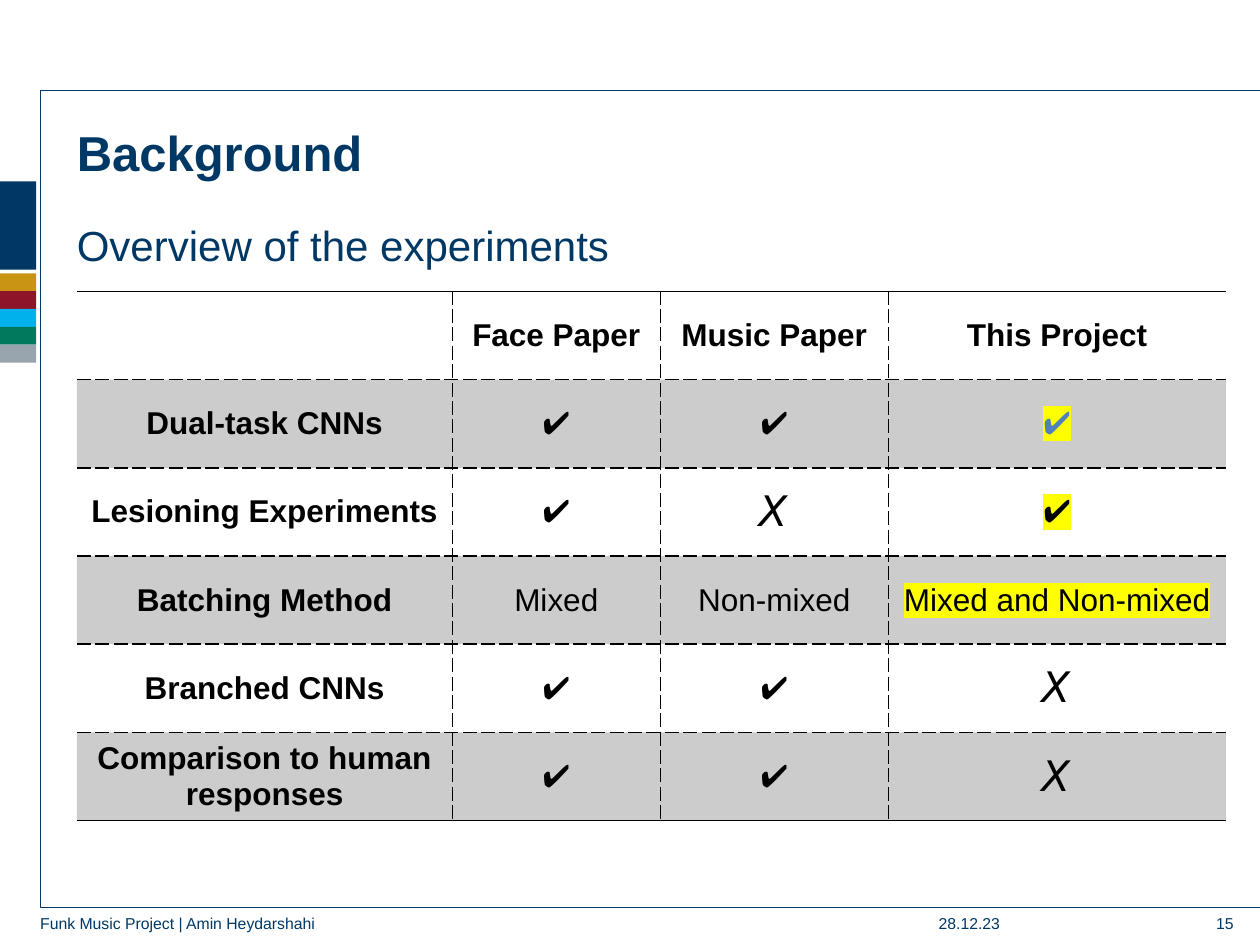
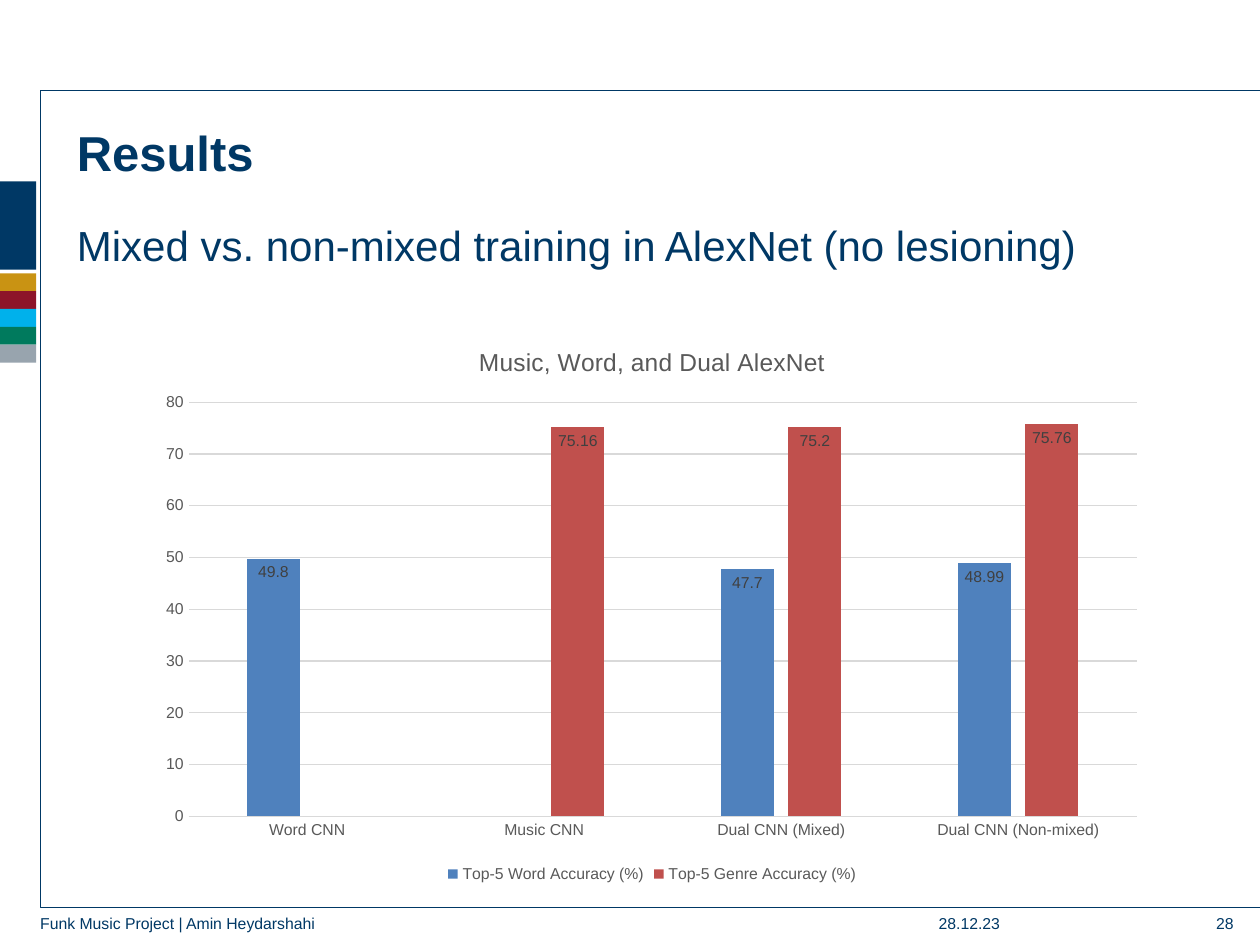
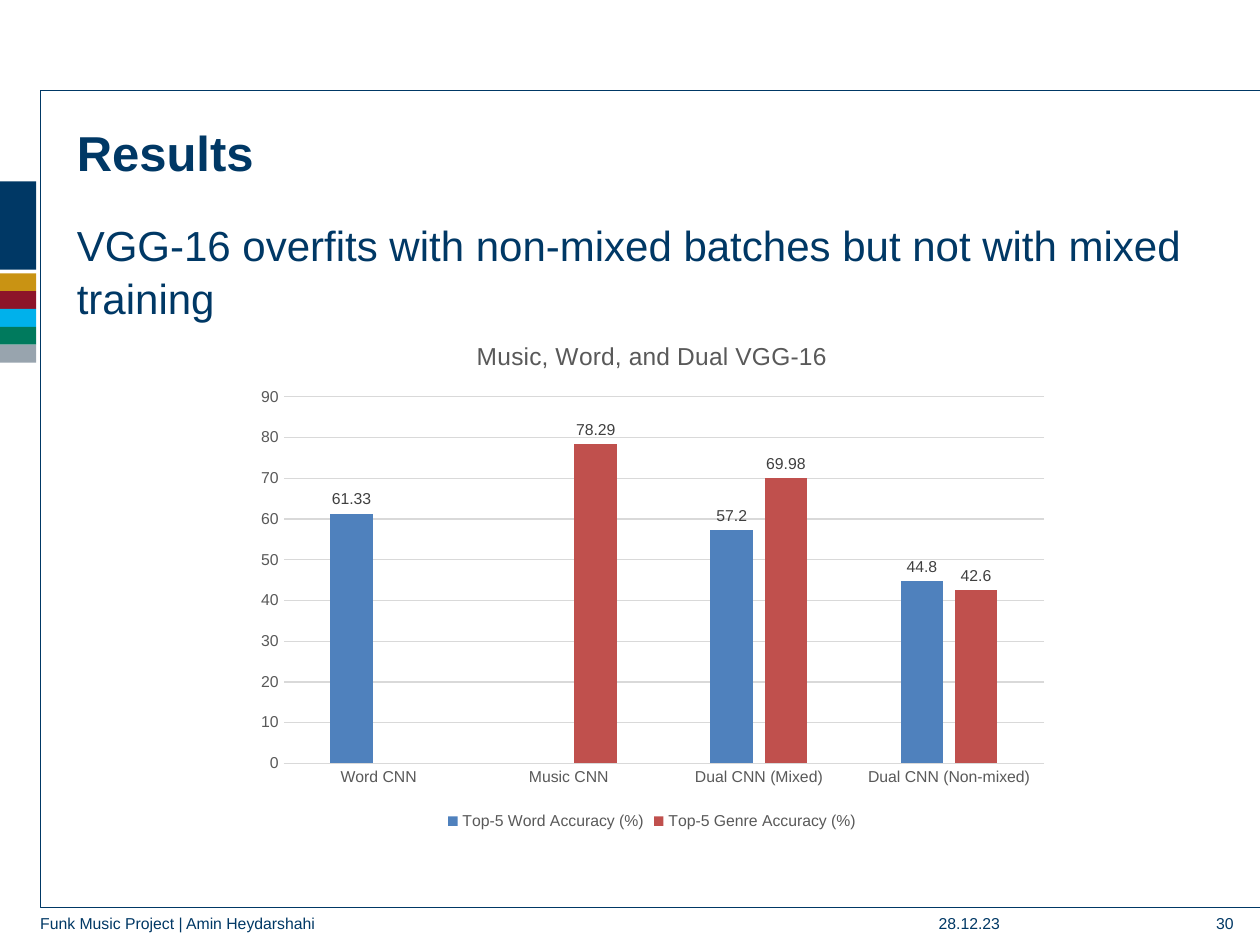
"""Build three slides on the Funk Music Project: experiment overview and accuracy results."""
from dataclasses import dataclass

from lxml import etree
from pptx import Presentation
from pptx import util as u
from pptx.chart import data as cd
from pptx.dml.color import RGBColor
from pptx.enum import chart as ce, shapes, text
from pptx.oxml import parse_xml
from pptx.oxml.ns import nsdecls, qn

Pt = u.Pt


@dataclass(frozen=True)
class Theme:
    font: str = "Arial"
    navy: str = "003865"
    black: str = "000000"
    blue: str = "4F81BD"
    red: str = "C0504D"
    grey: str = "595959"
    label: str = "404040"
    grid: str = "D9D9D9"
    mark: str = "FFFF00"
    bands: tuple = ("C99313", "8D1429", "00B1EB", "007A5D", "98A4AE")
    title: int = 28
    subtitle: int = 24
    cross: int = 24
    cell: int = 18
    chart_title: int = 14
    small: int = 9


T = Theme()
LEFT, WIDTH = 43.92, 656.64


def style(font, size, color, bold=False, mark=None):
    """Set size, colour, weight, highlight and typeface of a font."""
    font.size, font.bold = Pt(size), bold
    font.color.rgb = RGBColor.from_string(color)
    if mark:
        hl = etree.SubElement(font._element, qn("a:highlight"))
        etree.SubElement(hl, qn("a:srgbClr"), val=mark)
    font.name = T.font


def write(sp, box, words, size, bold=False, align=text.PP_ALIGN.LEFT, spacing=1.0):
    """Place a text shape without insets and write one run in it."""
    sp.left, sp.top, sp.width, sp.height = (Pt(v) for v in box)
    tf = sp.text_frame
    tf.word_wrap, tf.auto_size = True, text.MSO_AUTO_SIZE.NONE
    tf.vertical_anchor = text.MSO_ANCHOR.TOP
    tf.margin_left = tf.margin_top = tf.margin_right = tf.margin_bottom = 0
    p = tf.paragraphs[0]
    p.alignment, p.line_spacing, p.space_before = align, spacing, Pt(0)
    r = p.add_run()
    r.text = words
    style(r.font, size, T.navy, bold)


prs = Presentation()
prs.slide_width, prs.slide_height = Pt(720), Pt(540)

pages = [
    ("Background", "Overview of the experiments", "15"),
    ("Results", "Mixed vs. non-mixed training in AlexNet (no lesioning)", "28"),
    ("Results", "VGG-16 overfits with non-mixed batches but not with mixed training", "30"),
]
for title, subtitle, number in pages:
    s = prs.slides.add_slide(prs.slide_layouts[5])
    bars = [(103.7, 50.4, T.navy)]
    bars += [(156.2 + 10.2 * i, 10.2, color) for i, color in enumerate(T.bands)]
    for top, height, color in bars:
        sp = s.shapes.add_shape(shapes.MSO_SHAPE.RECTANGLE, 0, Pt(top), Pt(20.7), Pt(height))
        sp.shadow.inherit = False
        sp.fill.solid()
        sp.fill.fore_color.rgb = RGBColor.from_string(color)
        sp.line.fill.background()

    fb = s.shapes.build_freeform(Pt(720), Pt(51.8))
    fb.add_line_segments([(Pt(23), Pt(51.8)), (Pt(23), Pt(518.4)), (Pt(720), Pt(518.4))], close=False)
    frame = fb.convert_to_shape()
    frame.shadow.inherit = False
    frame.fill.background()
    frame.line.width = Pt(0.75)
    frame.line.color.rgb = RGBColor.from_string(T.navy)

    write(s.shapes.title, (LEFT, 68.5, WIDTH, 53.9), title, T.title, bold=True, spacing=1.04)
    texts = [
        ((LEFT, 124.4, WIDTH, 58), subtitle, T.subtitle, text.PP_ALIGN.LEFT, 1.04),
        ((23, 522, 481.7, 15.1), "Funk Music Project | Amin Heydarshahi", T.small, text.PP_ALIGN.LEFT, 1.0),
        ((536.4, 522, 85, 15.1), "28.12.23", T.small, text.PP_ALIGN.LEFT, 1.0),
        ((648, 522, 56.9, 15.1), number, T.small, text.PP_ALIGN.RIGHT, 1.0),
    ]
    for box, words, size, align, spacing in texts:
        write(s.shapes.add_textbox(0, 0, 0, 0), box, words, size, align=align, spacing=spacing)

YES, NO = "✔️", "𝘟"
rows = [
    ("", "Face Paper", "Music Paper", "This Project"),
    ("Dual-task CNNs", YES, YES, YES),
    ("Lesioning Experiments", YES, NO, YES),
    ("Batching Method", "Mixed", "Non-mixed", "Mixed and Non-mixed"),
    ("Branched CNNs", YES, YES, NO),
    ("Comparison to human responses", YES, YES, NO),
]
widths = (214.6, 118.8, 130.3, 192.94)
last_row, last_col = len(rows) - 1, len(widths) - 1
tbl = prs.slides[0].shapes.add_table(
    len(rows), len(widths), Pt(LEFT), Pt(166.5), Pt(WIDTH), Pt(302.4)).table
tbl.first_row = tbl.horz_banding = False
for column, width in zip(tbl.columns, widths):
    column.width = Pt(width)
for i, row in enumerate(rows):
    tbl.rows[i].height = Pt(50.4)
    for j, words in enumerate(row):
        cell = tbl.cell(i, j)
        cell.vertical_anchor = text.MSO_ANCHOR.MIDDLE
        tcPr = cell._tc.get_or_add_tcPr()
        edges = {
            "L": "sysDash" if j else None,
            "R": "sysDash" if j < last_col else None,
            "T": "sysDash" if i else "solid",
            "B": "sysDash" if i < last_row else "solid",
        }
        for side, dash in edges.items():
            ln = etree.SubElement(tcPr, qn(f"a:ln{side}"), w=str(Pt(1)))
            if dash:
                fill = etree.SubElement(ln, qn("a:solidFill"))
                etree.SubElement(fill, qn("a:srgbClr"), val=T.black)
                etree.SubElement(ln, qn("a:prstDash"), val=dash)
            else:
                etree.SubElement(ln, qn("a:noFill"))
        if i % 2:
            cell.fill.solid()
            cell.fill.fore_color.rgb = RGBColor.from_string(T.black)
            shade = tcPr.find(f"{qn('a:solidFill')}/{qn('a:srgbClr')}")
            etree.SubElement(shade, qn("a:alpha"), val="20000")
        else:
            cell.fill.background()
        p = cell.text_frame.paragraphs[0]
        p.alignment = text.PP_ALIGN.CENTER
        if words:
            r = p.add_run()
            r.text = words
            style(r.font, T.cross if words == NO else T.cell,
                  T.blue if (i, j) == (1, last_col) else T.black,
                  bold=i == 0 or j == 0 or words == NO,
                  mark=T.mark if i and j == last_col and words != NO else None)

categories = ("Word CNN", "Music CNN", "Dual CNN (Mixed)", "Dual CNN (Non-mixed)")
charts = [
    (1, "Music, Word, and Dual AlexNet", (83.5, 185, 578.2, 322.6), (0.042, 0.139, 0.937, 0.734), 80,
     ce.XL_LABEL_POSITION.INSIDE_END, (49.8, None, 47.7, 48.99), (None, 75.16, 75.2, 75.76)),
    (2, "Music, Word, and Dual VGG-16", (139.7, 182.2, 465.8, 295.2), (0.048, 0.151, 0.933, 0.71), 90,
     ce.XL_LABEL_POSITION.OUTSIDE_END, (61.33, None, 57.2, 44.8), (None, 78.29, 69.98, 42.6)),
]
for page, title, box, area, top_value, position, word, genre in charts:
    data = cd.CategoryChartData()
    data.categories = categories
    data.add_series("Top-5 Word Accuracy (%)", word)
    data.add_series("Top-5 Genre Accuracy (%)", genre)
    chart = prs.slides[page].shapes.add_chart(
        ce.XL_CHART_TYPE.COLUMN_CLUSTERED, *(Pt(v) for v in box), data).chart
    style(chart.font, 10, T.black)
    chart.has_title = True
    r = chart.chart_title.text_frame.paragraphs[0].add_run()
    r.text = title
    style(r.font, T.chart_title, T.grey)
    chart.has_legend = True
    chart.legend.position = ce.XL_LEGEND_POSITION.BOTTOM
    chart.legend.include_in_layout = False
    style(chart.legend.font, T.small, T.grey)

    plot = chart.plots[0]
    plot.gap_width, plot.overlap, plot.vary_by_categories = 219, -27, False
    for series, color in zip(plot.series, (T.blue, T.red)):
        series.format.fill.solid()
        series.format.fill.fore_color.rgb = RGBColor.from_string(color)
        labels = series.data_labels
        labels.show_value, labels.position = True, position
        style(labels.font, T.small, T.label)

    cat, val = chart.category_axis, chart.value_axis
    for axis in (cat, val):
        axis.major_tick_mark = axis.minor_tick_mark = ce.XL_TICK_MARK.NONE
        style(axis.tick_labels.font, T.small, T.grey)
    val.minimum_scale, val.maximum_scale, val.major_unit = 0, top_value, 10
    val.format.line.fill.background()
    for line in (cat.format.line, val.major_gridlines.format.line):
        line.width = Pt(0.75)
        line.color.rgb = RGBColor.from_string(T.grid)

    plot_area = chart._chartSpace.find(f".//{qn('c:plotArea')}")
    for old in plot_area.findall(qn("c:layout")):
        plot_area.remove(old)
    sizes = "".join(f'<c:{k} val="{v}"/>' for k, v in zip("xywh", area))
    plot_area.insert(0, parse_xml(
        f'<c:layout {nsdecls("c")}><c:manualLayout><c:layoutTarget val="inner"/>'
        f'<c:xMode val="edge"/><c:yMode val="edge"/>{sizes}</c:manualLayout></c:layout>'))

prs.save("out.pptx")
